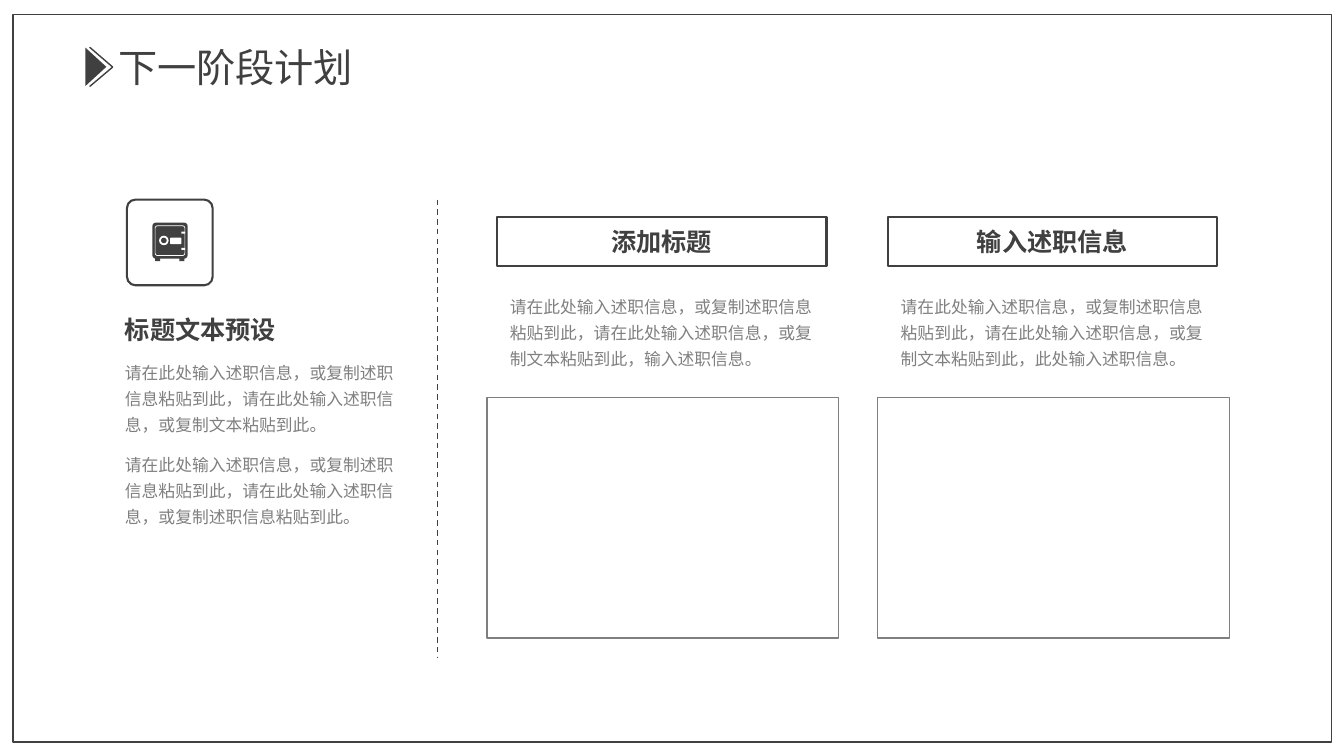
from lxml.etree import SubElement
from pptx import Presentation
from pptx.dml.color import RGBColor
from pptx.enum.dml import MSO_LINE
from pptx.enum.shapes import MSO_CONNECTOR, MSO_SHAPE
from pptx.enum.text import MSO_ANCHOR as Anchor, PP_ALIGN as Align
from pptx.oxml.ns import qn
from pptx.util import Cm, Pt

TITLE = "下一阶段计划"
SUMMARY_HEADING = "标题文本预设"
SUMMARY = [
    "请在此处输入述职信息，或复制述职信息粘贴到此，请在此处输入述职信息，或复制文本粘贴到此。",
    "请在此处输入述职信息，或复制述职信息粘贴到此，请在此处输入述职信息，或复制述职信息粘贴到此。",
]
COLUMNS = [
    ("添加标题", "请在此处输入述职信息，或复制述职信息粘贴到此，请在此处输入述职信息，或复制文本粘贴到此，输入述职信息。"),
    ("输入述职信息", "请在此处输入述职信息，或复制述职信息粘贴到此，请在此处输入述职信息，或复制文本粘贴到此，此处输入述职信息。"),
]

FONT = "Noto Sans CJK SC"
DARK = RGBColor(0x40, 0x40, 0x40)
MID = RGBColor(0x7F, 0x7F, 0x7F)
GRAY = RGBColor(0x80, 0x80, 0x80)
WHITE = RGBColor(0xFF, 0xFF, 0xFF)

SAFE_PARTS = [
    (MSO_SHAPE.RECTANGLE, 3.91, 6.48, 0.13, 0.1, DARK),
    (MSO_SHAPE.RECTANGLE, 4.52, 6.48, 0.13, 0.1, DARK),
    (MSO_SHAPE.ROUNDED_RECTANGLE, 3.84, 5.61, 0.89, 0.91, DARK),
    (MSO_SHAPE.OVAL, 4.01, 5.94, 0.24, 0.24, WHITE),
    (MSO_SHAPE.OVAL, 4.06, 5.99, 0.14, 0.14, DARK),
    (MSO_SHAPE.ROUNDED_RECTANGLE, 4.29, 5.99, 0.28, 0.16, WHITE),
    (MSO_SHAPE.RECTANGLE, 4.57, 5.84, 0.1, 0.05, WHITE),
    (MSO_SHAPE.RECTANGLE, 4.57, 6.25, 0.1, 0.05, WHITE),
]

deck = Presentation()
deck.slide_width, deck.slide_height = Cm(33.87), Cm(19.05)
page = deck.slides.add_slide(deck.slide_layouts[5])


def add_box(kind, left, top, width, height, fill=None, line=None, weight=1):
    box = page.shapes.add_shape(kind, Cm(left), Cm(top), Cm(width), Cm(height))
    box.shadow.inherit = False
    if fill is None:
        box.fill.background()
    else:
        box.fill.solid()
        box.fill.fore_color.rgb = fill
    if line is None:
        box.line.fill.background()
    else:
        box.line.color.rgb = line
        box.line.width = Pt(weight)
    return box


def add_line(x1, y1, x2, y2):
    line = page.shapes.add_connector(
        MSO_CONNECTOR.STRAIGHT, Cm(x1), Cm(y1), Cm(x2), Cm(y2))
    line.line.color.rgb = DARK
    line.line.width = Pt(1)
    SubElement(line._element.spPr, qn("a:effectLst"))
    return line


def write(box, text, size=12, color=GRAY, bold=False, align=Align.LEFT,
          anchor=Anchor.TOP, spacing=1.0, wrap=True):
    frame = box.text_frame
    frame.word_wrap = wrap
    frame.vertical_anchor = anchor
    para = frame.paragraphs[0]
    para.alignment = align
    para.line_spacing = spacing
    span = para.add_run()
    span.text = text
    span.font.size = Pt(size)
    span.font.bold = bold
    span.font.color.rgb = color
    span.font.name = FONT
    SubElement(span.font._element, qn("a:ea"), typeface=FONT)


def add_text(text, left, top, width, height, **style):
    box = page.shapes.add_textbox(Cm(left), Cm(top), Cm(width), Cm(height))
    write(box, text, **style)


title = page.shapes.title
title.left, title.top, title.width, title.height = Cm(2.72), Cm(0.97), Cm(10.9), Cm(1.45)
write(title, TITLE, size=28, color=DARK, anchor=Anchor.MIDDLE)

for end in (1.19, 2.18):
    add_line(2.84, 1.69, 2.26, end)
marker = add_box(MSO_SHAPE.ISOSCELES_TRIANGLE, 1.93, 1.42, 0.97, 0.53, fill=DARK)
marker.rotation = 90

add_box(MSO_SHAPE.RECTANGLE, 0.33, 0.36, 33.22, 18.34, line=DARK)
divider = add_line(11.02, 5.03, 11.02, 16.56)
divider.line.dash_style = MSO_LINE.DASH

COLUMN_PITCH = 9.85
for index, (heading, body) in enumerate(COLUMNS):
    shift = index * COLUMN_PITCH
    add_box(MSO_SHAPE.RECTANGLE, 12.27 + shift, 10.01, 8.86, 6.07, line=MID)
    label = add_box(MSO_SHAPE.RECTANGLE, 12.52 + shift, 5.46, 8.31, 1.24,
                    line=DARK, weight=1.5)
    write(label, heading, size=18, color=DARK, bold=True,
          align=Align.CENTER, anchor=Anchor.MIDDLE)
    add_text(body, 12.6 + shift, 7.19, 8.31, 2.24, spacing=1.3)

tile = add_box(MSO_SHAPE.ROUNDED_RECTANGLE, 3.2, 5.03, 2.16, 2.16, line=DARK, weight=1.5)
tile.adjustments[0] = 0.1
for kind, left, top, width, height, fill in SAFE_PARTS:
    part = add_box(kind, left, top, width, height, fill=fill)
    if kind == MSO_SHAPE.ROUNDED_RECTANGLE:
        part.adjustments[0] = 0.1
door = add_box(MSO_SHAPE.ROUNDED_RECTANGLE, 3.91, 5.69, 0.75, 0.75, line=WHITE, weight=0.5)
door.adjustments[0] = 0.08

add_text(SUMMARY_HEADING, 2.9, 7.8, 4.34, 1.02, size=18, color=DARK, bold=True, wrap=False)
for index, text in enumerate(SUMMARY):
    add_text(text, 2.9, 8.86 + index * 2.32, 7.49, 2.24, spacing=1.3)

deck.save("out.pptx")
